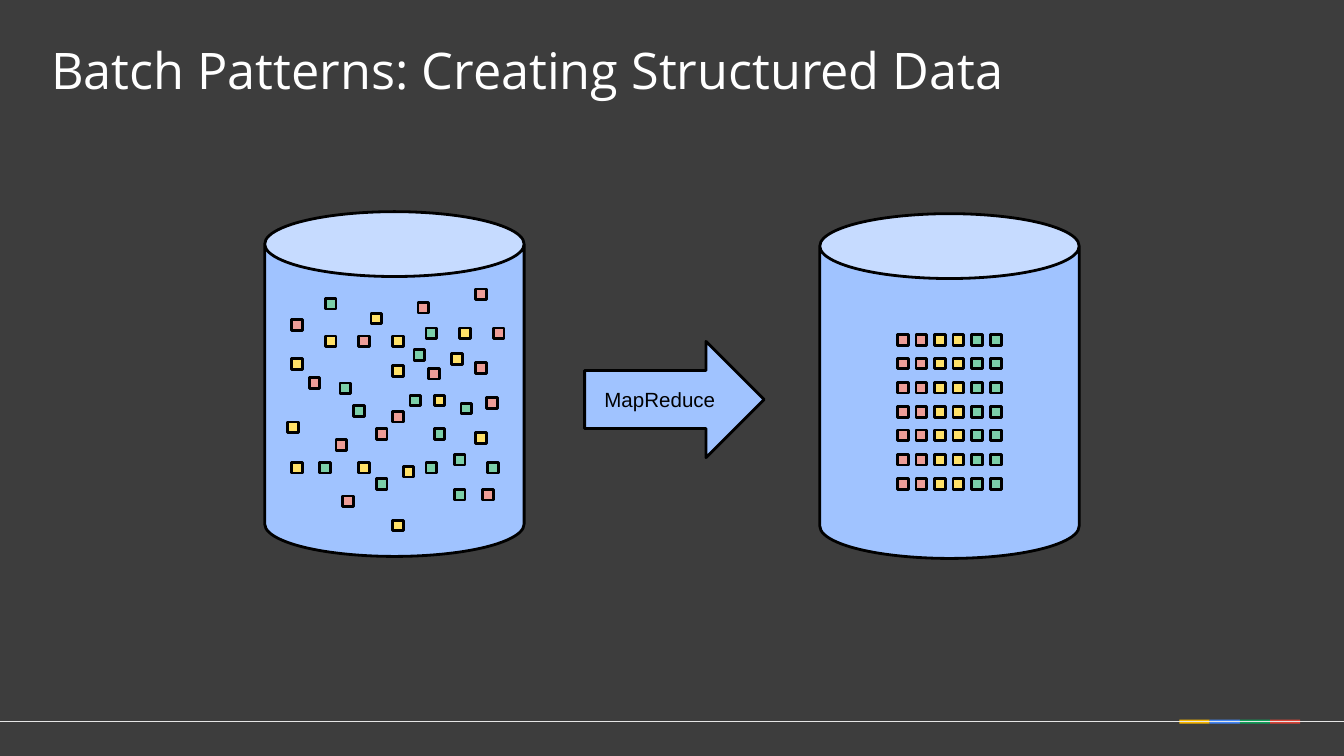
from typing import Any, NamedTuple

from pptx import Presentation, util as u
from pptx.dml.color import RGBColor
from pptx.enum import shapes as sh, text as tx
from pptx.oxml.ns import qn

PX = u.Inches(1) // 200  # 200 px to the inch

COLORS = {
    "background": "3D3D3D", "white": "FFFFFF", "black": "000000",
    "rule": "E6E6E6", "store": "A0C3FF",
    "red": "ED9D97", "yellow": "FFE168", "green": "7BCFA9",
    "stripe yellow": "F4B400", "stripe blue": "4285F4",
    "stripe green": "0F9D58", "stripe red": "D84437",
}
DOT_SIZE = 16


class Box(NamedTuple):
    left: int
    top: int
    width: int
    height: int


class Record(NamedTuple):
    left: int
    top: int
    color: str


class Label(NamedTuple):
    words: str
    font: str
    size: int
    color: str
    align: Any
    inset_x: int
    inset_y: int


def rgb(name: str) -> RGBColor:
    return RGBColor.from_string(COLORS[name])


def set_all(target: Any, formats: dict[str, Any]) -> None:
    for name, value in formats.items():
        setattr(target, name, value)


def draw_shape(parent: Any, kind: Any, box: Box, fill: str, outlined: bool = True) -> Any:
    shape = parent.add_shape(kind, *(v * PX for v in box))
    shape.shadow.inherit = False
    shape.fill.solid()
    shape.fill.fore_color.rgb = rgb(fill)
    if outlined:
        shape.line.color.rgb = rgb("black")
        shape.line.width = u.Pt(1.5)
    else:
        shape.line.fill.background()
    return shape


def write_label(shape: Any, label: Label) -> None:
    frame = shape.text_frame
    set_all(frame, {
        "word_wrap": True,
        "vertical_anchor": tx.MSO_ANCHOR.MIDDLE,
        "margin_left": label.inset_x * PX, "margin_right": label.inset_x * PX,
        "margin_top": label.inset_y * PX, "margin_bottom": label.inset_y * PX,
    })
    paragraph = frame.paragraphs[0]
    paragraph.alignment = label.align
    run = paragraph.add_run()
    run.text = label.words
    set_all(run.font, {"name": label.font, "size": u.Pt(label.size)})
    run.font.color.rgb = rgb(label.color)


def draw_store(parent: Any, box: Box, records: list[Record]) -> None:
    store = parent.add_group_shape().shapes
    draw_shape(store, sh.MSO_SHAPE.CAN, box, "store")
    for record in records:
        dot = Box(record.left, record.top, DOT_SIZE, DOT_SIZE)
        draw_shape(store, sh.MSO_SHAPE.RECTANGLE, dot, record.color)


# Unstructured records, scattered by hand
SCATTER = {
    "red": [(622, 450), (500, 654), (510, 738), (584, 612), (718, 728), (724, 592),
            (734, 488), (434, 476), (460, 562), (534, 500), (560, 638), (638, 548),
            (708, 430), (708, 540)],
    "yellow": [(552, 466), (708, 644), (584, 500), (600, 694), (646, 588), (684, 488),
               (584, 774), (484, 500), (428, 628), (434, 534), (534, 688), (584, 544),
               (672, 526), (434, 688)],
    "green": [(484, 444), (526, 604), (634, 488), (610, 588), (506, 570), (686, 600),
              (676, 676), (476, 688), (634, 688), (616, 520), (560, 712), (646, 638),
              (726, 688), (676, 728)],
}
scattered = [Record(x, y, color) for color, spots in SCATTER.items() for x, y in spots]

# Structured records: 7 rows, two columns of each colour
ROWS = 7
COLUMNS = ["red", "red", "yellow", "yellow", "green", "green"]
GRID = Box(1336, 498, 138, 214)  # from first to last dot corner
structured = [
    Record(GRID.left + GRID.width * col // (len(COLUMNS) - 1),
           GRID.top + GRID.height * row // (ROWS - 1), color)
    for row in range(ROWS) for col, color in enumerate(COLUMNS)
]

presentation = Presentation()
set_all(presentation, {"slide_width": 2000 * PX, "slide_height": 1125 * PX})
slide = presentation.slides.add_slide(presentation.slide_layouts[6])
slide.background.fill.solid()
slide.background.fill.fore_color.rgb = rgb("background")
canvas = slide.shapes

# Footer stripes and rule
stripes = canvas.add_group_shape().shapes
for i, hue in enumerate(["yellow", "blue", "green", "red"]):
    draw_shape(stripes, sh.MSO_SHAPE.RECTANGLE, Box(1755 + 45 * i, 1071, 45, 6),
               f"stripe {hue}", outlined=False)
rule = canvas.add_connector(sh.MSO_CONNECTOR.STRAIGHT, 2000 * PX, 1074 * PX, 0, 1074 * PX)
rule.line.color.rgb = rgb("rule")
rule.line.width = u.Pt(0.75)
properties = rule._element.spPr
properties.append(properties.makeelement(qn("a:effectLst"), {}))

# Processing step
arrow = draw_shape(canvas, sh.MSO_SHAPE.RIGHT_ARROW, Box(870, 508, 267, 173), "store")
write_label(arrow, Label("MapReduce", "Arial", 11, "black", tx.PP_ALIGN.CENTER, 14, 14))

# Data stores
draw_store(canvas, Box(1220, 318, 386, 513), structured)
draw_store(canvas, Box(394, 315, 386, 513), scattered)

# Title
title = canvas.add_textbox(*(v * PX for v in Box(62, 40, 1496, 126)))
write_label(title, Label("Batch Patterns: Creating Structured Data", "Open Sans", 27,
                         "white", tx.PP_ALIGN.LEFT, 14, 7))

presentation.save("out.pptx")
